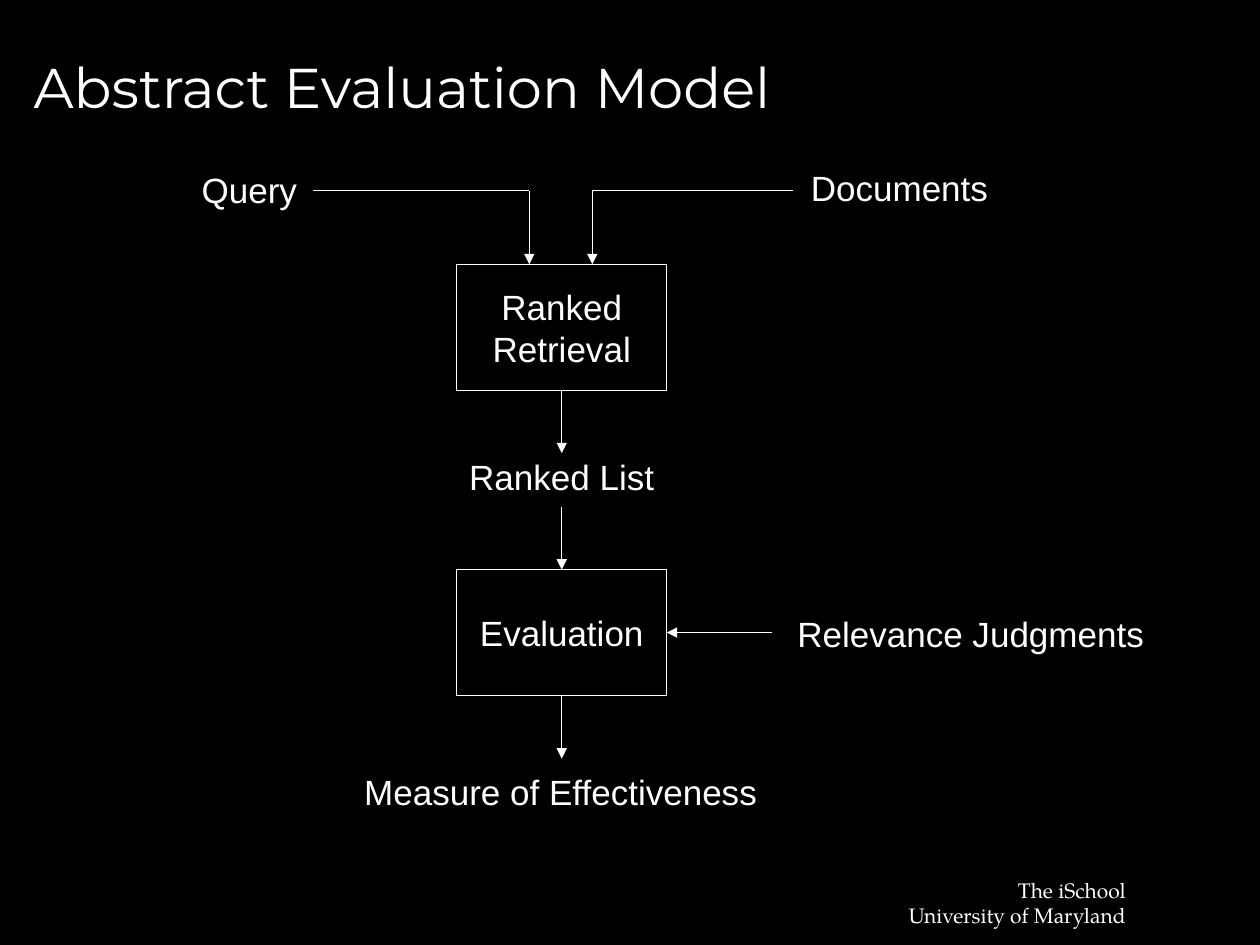
from pptx import Presentation
from pptx.dml.color import RGBColor
from pptx.enum.shapes import MSO_CONNECTOR, MSO_SHAPE
from pptx.enum.text import MSO_ANCHOR, PP_ALIGN
from pptx.oxml.ns import qn
from pptx.util import Pt
from lxml import etree

STRAIGHT = MSO_CONNECTOR.STRAIGHT
RECT = MSO_SHAPE.RECTANGLE
MIDDLE = MSO_ANCHOR.MIDDLE
LEFT, CENTER, RIGHT = PP_ALIGN.LEFT, PP_ALIGN.CENTER, PP_ALIGN.RIGHT
TOP_SIDE, BOTTOM_SIDE, RIGHT_SIDE = 0, 2, 3
COLORS = {"background": "000000", "ink": "FFFFFF"}
INK = RGBColor.from_string(COLORS["ink"])


def write(sp, lines, size, font, align):
    tf = sp.text_frame
    tf.text = "\n".join(lines)
    for p in tf.paragraphs:
        p.alignment = align
        p.font.size = Pt(size)
        p.font.name = font
        p.font.color.rgb = INK
    return tf


def connect(x1, y1, x2, y2, arrow=True):
    cxn = s.shapes.add_connector(STRAIGHT, Pt(x1), Pt(y1), Pt(x2), Pt(y2))
    cxn.line.color.rgb = INK
    cxn.line.width = Pt(0.75)
    if arrow:
        etree.SubElement(cxn.line._get_or_add_ln(), qn("a:tailEnd"), type="triangle")
    etree.SubElement(cxn._element.spPr, qn("a:effectLst"))
    return cxn


prs = Presentation()
prs.slide_width, prs.slide_height = Pt(720), Pt(540)
s = prs.slides.add_slide(prs.slide_layouts[5])
s.background.fill.solid()
s.background.fill.fore_color.rgb = RGBColor.from_string(COLORS["background"])

title = s.shapes.title
title.left, title.top, title.width, title.height = Pt(12), Pt(8.5), Pt(684), Pt(81)
write(title, ["Abstract Evaluation Model"], 32, "Montserrat", LEFT).vertical_anchor = MIDDLE

box_left, box_width, box_height = 261, 120, 72
center = box_left + box_width / 2
boxes = []
for top, lines in [(151, ["Ranked", "Retrieval"]), (325.5, ["Evaluation"])]:
    sp = s.shapes.add_shape(RECT, Pt(box_left), Pt(top), Pt(box_width), Pt(box_height))
    sp.shadow.inherit = False
    sp.fill.background()
    sp.line.color.rgb = INK
    sp.line.width = Pt(0.75)
    tf = write(sp, lines, 20, "Arial", CENTER)
    tf.vertical_anchor = MIDDLE
    tf.word_wrap = False
    boxes.append(sp)
retrieval, evaluation = boxes

labels = [
    (108, 93, 69, 31.5, ["Query"], 20, "Arial", CENTER),
    (456, 91.5, 116, 31.5, ["Documents"], 20, "Arial", CENTER),
    (261, 257, 120, 31.5, ["Ranked List"], 20, "Arial", CENTER),
    (448.5, 346.5, 212.5, 31.5, ["Relevance Judgments"], 20, "Arial", LEFT),
    (201, 437, 239, 31.5, ["Measure of Effectiveness"], 20, "Arial", LEFT),
    (510.5, 498, 140, 36, ["The iSchool", "University of Maryland"], 12, "TeX Gyre Pagella", RIGHT),
]
for left, top, width, height, lines, size, font, align in labels:
    tb = s.shapes.add_textbox(Pt(left), Pt(top), Pt(width), Pt(height))
    write(tb, lines, size, font, align).word_wrap = False

for start, turn in [(179, 302.5), (453, 338.5)]:
    connect(start, 109, turn, 109, arrow=False)
    connect(turn, 109, turn, 151)

connect(center, 223, center, 259).begin_connect(retrieval, BOTTOM_SIDE)
connect(center, 289.5, center, 325.5).end_connect(evaluation, TOP_SIDE)
connect(center, 397.5, center, 433.5).begin_connect(evaluation, BOTTOM_SIDE)
connect(441, 361.5, 381, 361.5).end_connect(evaluation, RIGHT_SIDE)

prs.save("out.pptx")
